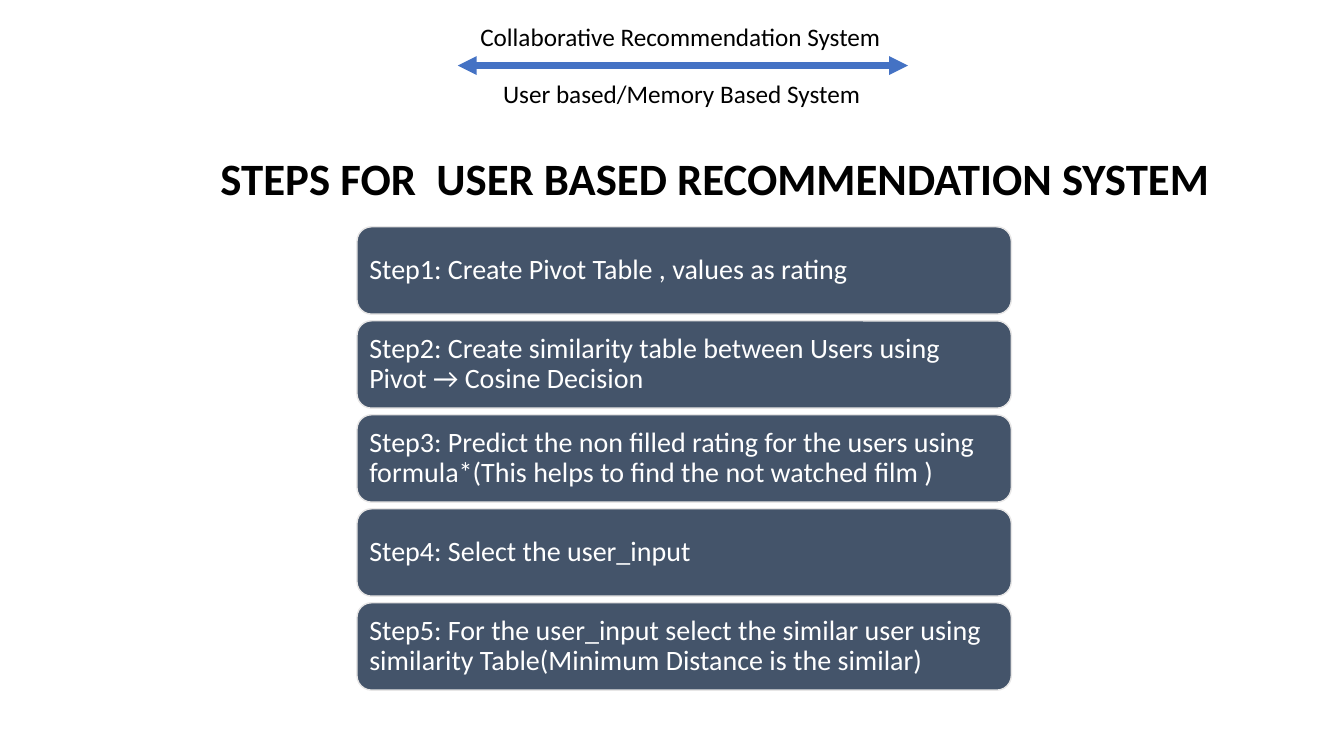
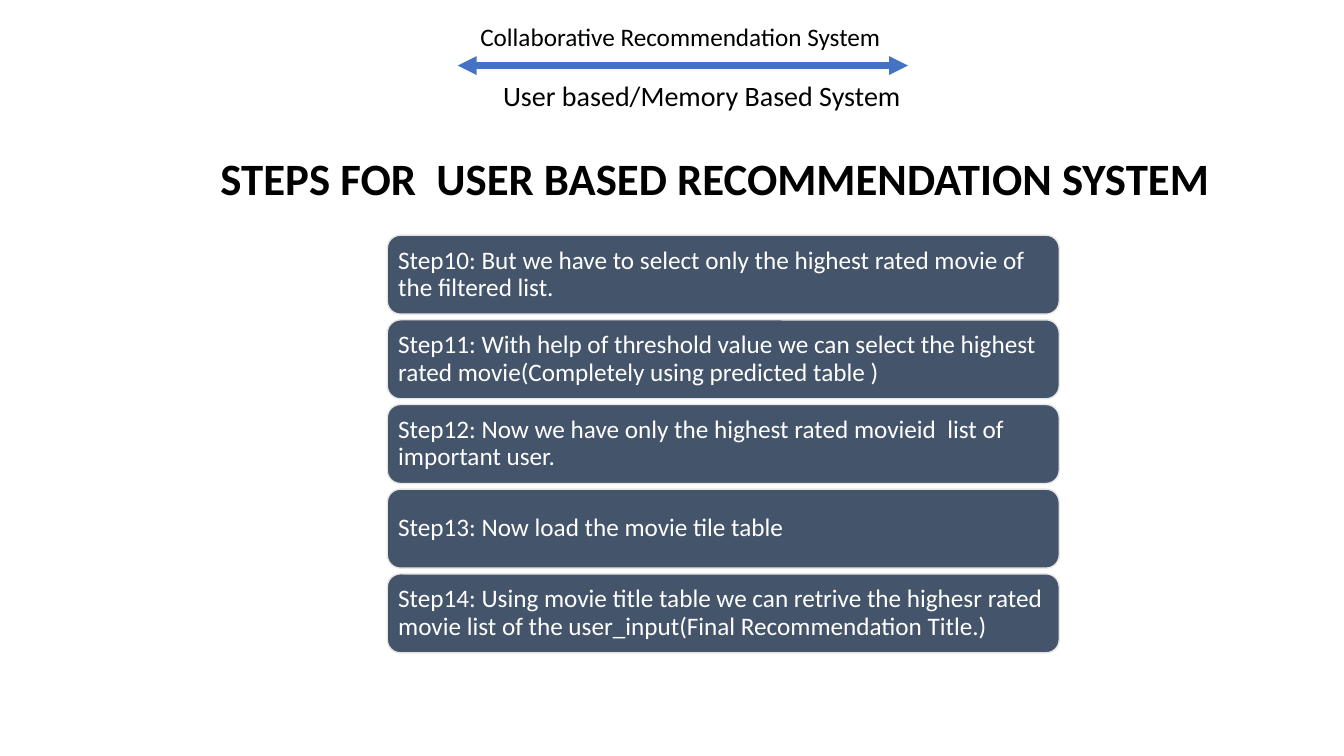
from lxml import etree
from pptx import Presentation
from pptx.dml.color import RGBColor
from pptx.enum import shapes, text
from pptx.oxml.ns import qn
from pptx import util as u

# The slide is a grid of 160 columns by 90 rows of square cells.
WIDTH, HEIGHT = u.Inches(13.333), u.Inches(7.5)
COLS, ROWS = 160, 90

FONT = "Calibri"
BLACK = RGBColor(0x00, 0x00, 0x00)
WHITE = RGBColor(0xFF, 0xFF, 0xFF)
BLUE = RGBColor(0x44, 0x72, 0xC4)
SLATE = RGBColor(0x44, 0x54, 0x6A)
PALE = RGBColor(0xE7, 0xE6, 0xE6)

HEADING = "STEPS FOR  USER BASED RECOMMENDATION SYSTEM"
FIRST_STEPS = [
    "Step1: Create Pivot Table , values as rating",
    "Step2: Create similarity table between Users using Pivot → Cosine Decision",
    "Step3: Predict the non filled rating for the users using formula*"
    "(This helps to find the not watched film )",
    "Step4: Select the user_input",
    "Step5: For the user_input select the similar user using similarity "
    "Table(Minimum Distance is the similar)",
]
LAST_STEPS = [
    "Step10: But we have to select only the highest rated movie of the filtered list.",
    "Step11: With help of threshold value we can select the highest rated "
    "movie(Completely using predicted table )",
    "Step12: Now we have only the highest rated movieid  list of important user.",
    "Step13: Now load the movie tile table",
    "Step14: Using movie title table we can retrive the highesr rated movie "
    "list of the user_input(Final Recommendation Title.)",
]


def col(n):
    return round(WIDTH * n / COLS)


def row(n):
    return round(HEIGHT * n / ROWS)


def write(sp, words, size, color=BLACK, bold=False, align=text.PP_ALIGN.LEFT,
          wrap=True, spacing=1.0):
    tf = sp.text_frame
    tf.word_wrap = wrap
    p = tf.paragraphs[0]
    p.alignment = align
    p.line_spacing = spacing
    r = p.add_run()
    r.text = words
    r.font.name = FONT
    r.font.size = u.Pt(size)
    r.font.bold = bold
    r.font.color.rgb = color


def add_label(s, x, y, w, h, words, size, **fmt):
    sp = s.shapes.add_textbox(col(x), row(y), col(w), row(h))
    write(sp, words, size, **fmt)


def add_double_arrow(s, x1, x2, y):
    line = s.shapes.add_connector(shapes.MSO_CONNECTOR.STRAIGHT,
                                  col(x1), row(y), col(x2), row(y))
    line.line.color.rgb = BLUE
    line.line.width = u.Pt(4.5)
    ln = line.line._get_or_add_ln()
    for end in ("a:headEnd", "a:tailEnd"):
        etree.SubElement(ln, qn(end), type="triangle")
    etree.SubElement(line._element.spPr, qn("a:effectLst"))


def add_steps(s, steps, x, y, w, h, gap, size, inset):
    """Stack one rounded box per step, with equal gaps."""
    for i, words in enumerate(steps):
        sp = s.shapes.add_shape(shapes.MSO_SHAPE.ROUNDED_RECTANGLE,
                                col(x), row(y + i * (h + gap)), col(w), row(h))
        sp.shadow.inherit = False
        sp.fill.solid()
        sp.fill.fore_color.rgb = SLATE
        sp.line.color.rgb = PALE
        sp.line.width = u.Pt(1)
        tf = sp.text_frame
        tf.vertical_anchor = text.MSO_ANCHOR.MIDDLE
        tf.margin_left = tf.margin_right = u.Inches(inset)
        tf.margin_top = tf.margin_bottom = u.Inches(inset)
        write(sp, words, size, color=WHITE, spacing=0.9)


def add_slide(prs, kind_width, kind_size):
    """Add a slide with the shared header; the system kind varies in size."""
    s = prs.slides.add_slide(prs.slide_layouts[6])
    add_label(s, 56, 2, 50.6, 4.8, "Collaborative Recommendation System", 18,
              wrap=False)
    add_double_arrow(s, 54.5, 108.1, 7.8)
    add_label(s, 58.7, 8.75, kind_width, 4.8, "User based/Memory Based System",
              kind_size, wrap=False)
    add_label(s, 18.8, 17.3, 132.7, 7.7, HEADING, 32, bold=True,
              align=text.PP_ALIGN.CENTER)
    return s


def main():
    prs = Presentation()
    prs.slide_width, prs.slide_height = WIDTH, HEIGHT

    s = add_slide(prs, kind_width=45.4, kind_size=18)
    add_steps(s, FIRST_STEPS, x=42.5, y=27, w=77.9, h=10.4, gap=0.79,
              size=20, inset=0.08)

    s = add_slide(prs, kind_width=50.3, kind_size=20)
    add_steps(s, LAST_STEPS, x=46.1, y=28, w=80, h=9.4, gap=0.68,
              size=18, inset=0.07)

    prs.save("out.pptx")


if __name__ == "__main__":
    main()
